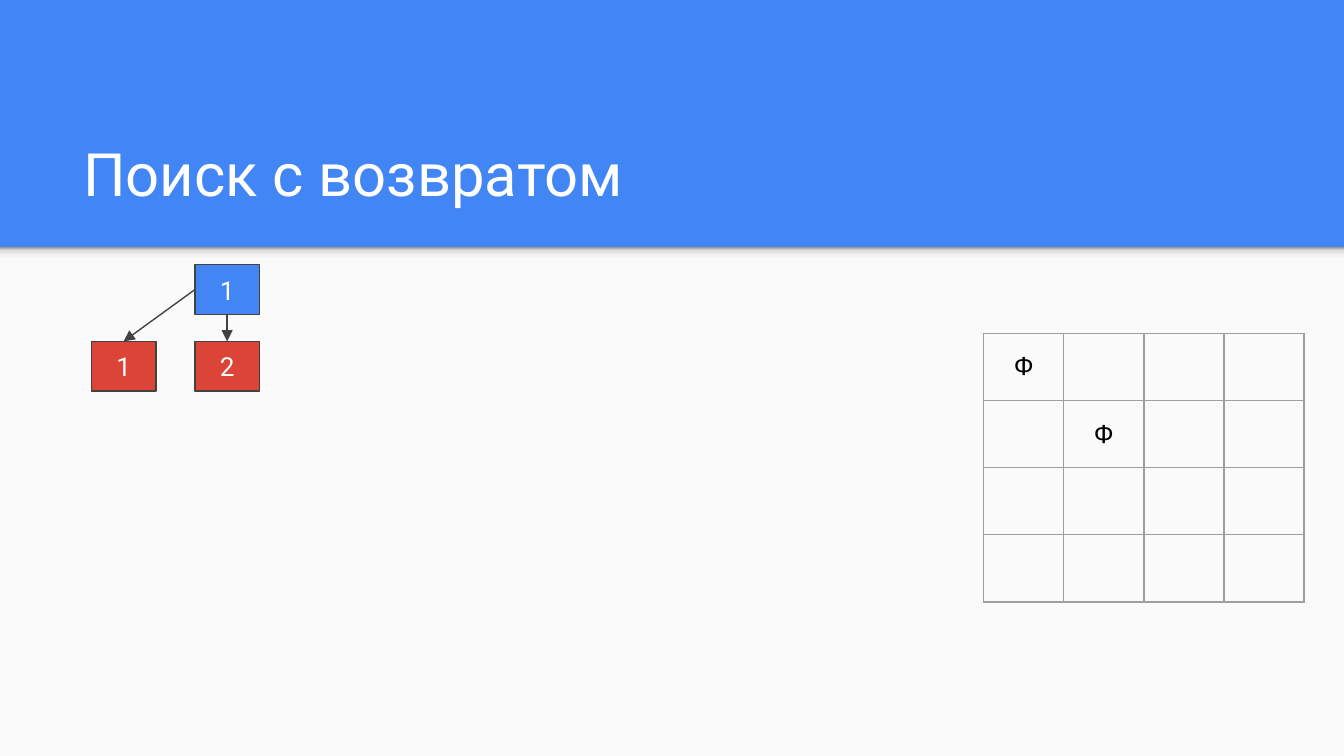
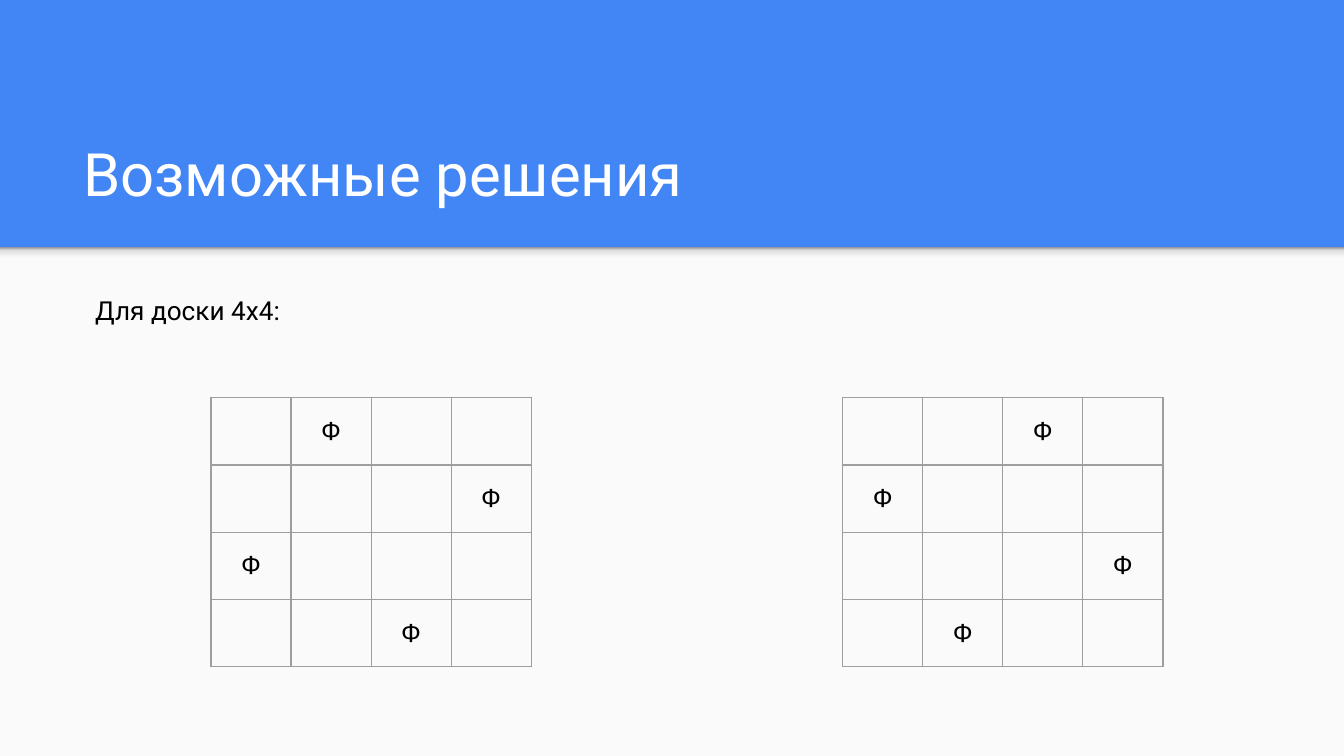
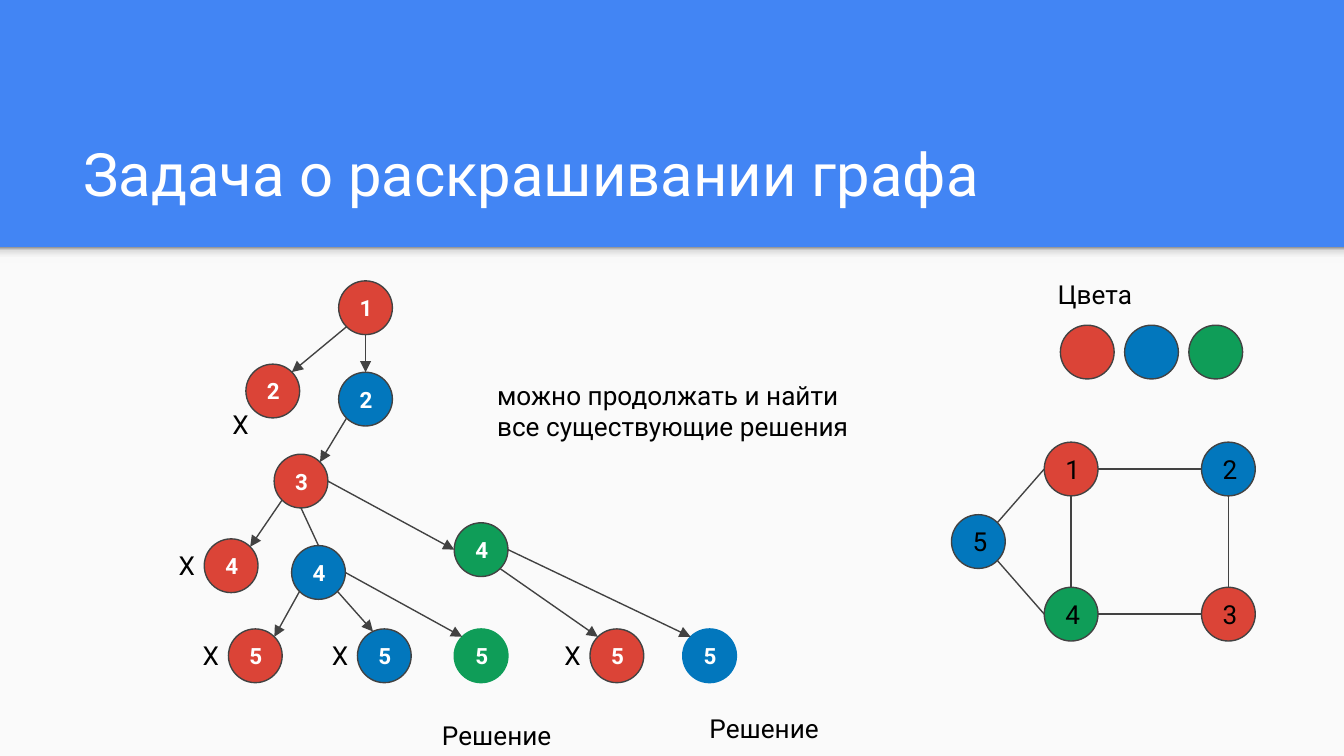
from math import cos, radians, sin

from lxml import etree
from pptx import Presentation
from pptx.dml.color import RGBColor
from pptx.enum.shapes import MSO_CONNECTOR, MSO_SHAPE
from pptx.enum.text import MSO_ANCHOR, MSO_AUTO_SIZE, PP_ALIGN
from pptx.oxml.ns import qn
from pptx.util import Emu, Inches, Pt

RECTANGLE, ELLIPSE = MSO_SHAPE.RECTANGLE, MSO_SHAPE.OVAL
STRAIGHT = MSO_CONNECTOR.STRAIGHT
TOP, MIDDLE, BOTTOM = MSO_ANCHOR.TOP, MSO_ANCHOR.MIDDLE, MSO_ANCHOR.BOTTOM
LEFT, CENTER = PP_ALIGN.LEFT, PP_ALIGN.CENTER
GROW, FIXED = MSO_AUTO_SIZE.SHAPE_TO_FIT_TEXT, MSO_AUTO_SIZE.NONE
SIDE_TOP, SIDE_LEFT, SIDE_BOTTOM = 0, 1, 2
EAST, NORTHEAST, NORTH, NORTHWEST = 0, 45, 90, 135
WEST, SOUTHWEST, SOUTH, SOUTHEAST = 180, 225, 270, 315

SLIDE_WIDTH, SLIDE_HEIGHT = Inches(10), Inches(5.625)
COLUMNS, ROWS = 100, 56.25
UNIT = SLIDE_WIDTH / COLUMNS
BAND_BOTTOM = 18.4
NODE = 4
LINE_WIDTH = Pt(0.75)
COLORS = {
    "band": "4285F4", "page": "FAFAFA", "line": "424242", "border": "9E9E9E",
    "red": "DB4437", "blue": "0277BD", "green": "0F9D58",
    "white": "FFFFFF", "black": "000000",
}
SHADOW_STOPS = [(0, "F9F9F9"), (36, "F9F9F9"), (80, "DEDEDE"), (100, "999999")]


def rgb(name):
    """Return the named colour."""
    return RGBColor.from_string(COLORS[name])


def units(*values):
    """Turn grid units into lengths."""
    return [Emu(round(value * UNIT)) for value in values]


def write(holder, text, size=14, color="black", font="Roboto", bold=False,
          align=LEFT, anchor=TOP, frame=None):
    """Put formatted text into a shape, placeholder or table cell."""
    frame = frame or holder.text_frame
    frame.margin_left = frame.margin_right = Inches(0.1)
    frame.margin_top = frame.margin_bottom = Inches(0.1)
    frame.vertical_anchor = anchor
    paragraph = holder.text_frame.paragraphs[0]
    paragraph.alignment = align
    run = paragraph.add_run()
    run.text = text
    run.font.name, run.font.size, run.font.bold = font, Pt(size), bold
    run.font.color.rgb = rgb(color)


def add_label(slide, text, left, top, width, height=4.4, auto_size=FIXED):
    """Add a wrapped line of plain text."""
    label = slide.shapes.add_textbox(*units(left, top, width, height))
    label.text_frame.word_wrap = True
    label.text_frame.auto_size = auto_size
    write(label, text)


def add_block(slide, kind, box, fill, line=None):
    """Add a filled shape, outlined if a line colour is given."""
    shape = slide.shapes.add_shape(kind, *units(*box))
    shape.shadow.inherit = False
    shape.fill.solid()
    shape.fill.fore_color.rgb = rgb(fill)
    if line:
        shape.line.color.rgb = rgb(line)
        shape.line.width = LINE_WIDTH
    else:
        shape.line.fill.background()
    return shape


def add_line(slide, start=(0, 0), end=(0, 0), arrow=False):
    """Add a thin straight connector between two grid points."""
    connector = slide.shapes.add_connector(STRAIGHT, *units(*start, *end))
    connector.line.color.rgb = rgb("line")
    connector.line.width = LINE_WIDTH
    if arrow:
        etree.SubElement(connector.line._get_or_add_ln(), qn("a:tailEnd"), type="triangle")
    etree.SubElement(connector.element.spPr, qn("a:effectLst"))
    return connector


def add_node(slide, center, fill, text="", line="line", **text_format):
    """Add a round node around its centre."""
    x, y = center
    box = (x - NODE / 2, y - NODE / 2, NODE, NODE)
    node = add_block(slide, ELLIPSE, box, fill, line)
    if text:
        write(node, text, align=CENTER, anchor=MIDDLE, **text_format)


def rim(center, angle):
    """Find the point on a node's rim at an angle in degrees."""
    x, y = center
    return (x + NODE / 2 * cos(radians(angle)), y - NODE / 2 * sin(radians(angle)))


def shift(origin, point):
    """Move a point by the origin of its region."""
    return origin[0] + point[0], origin[1] + point[1]


def build_layout(layout, slide):
    """Give the layout its background, page area and band shadow."""
    layout.background.fill.solid()
    layout.background.fill.fore_color.rgb = rgb("band")
    page = add_block(slide, RECTANGLE, (0, BAND_BOTTOM, COLUMNS, ROWS - BAND_BOTTOM), "page")
    shadow = add_block(slide, RECTANGLE, (0, BAND_BOTTOM, COLUMNS, 1.2), "page")
    shadow.fill.gradient()
    shadow.fill.gradient_angle = 90
    stops = shadow.element.spPr.find(".//" + qn("a:gsLst"))
    for stop in list(stops):
        stops.remove(stop)
    for position, color in SHADOW_STOPS:
        stop = etree.SubElement(stops, qn("a:gs"), pos=str(position * 1000))
        etree.SubElement(stop, qn("a:srgbClr"), val=color)
    for index, shape in enumerate((page, shadow), start=2):
        layout.shapes.element.insert(index, shape.element)


def add_titled_slide(presentation, title):
    """Add a slide with its title in the band."""
    slide = presentation.slides.add_slide(presentation.slide_layouts[5])
    shape = slide.shapes.title
    shape.left, shape.top, shape.width, shape.height = units(5.2, 8.1, 89.9, 8.4)
    shape.text_frame.word_wrap = True
    shape.text_frame.auto_size = FIXED
    write(shape, title, size=32, color="white", anchor=BOTTOM)
    return slide


def style_cell(cell):
    """Clear the cell's fill and draw its four borders."""
    properties = cell._tc.get_or_add_tcPr()
    for side in ("a:lnL", "a:lnR", "a:lnT", "a:lnB"):
        border = etree.SubElement(properties, qn(side), w=str(LINE_WIDTH))
        fill = etree.SubElement(border, qn("a:solidFill"))
        etree.SubElement(fill, qn("a:srgbClr"), val=COLORS["border"])
    cell.fill.background()


def add_board(slide, left, top, queens, size=4):
    """Add a chess board with queens at the given (row, column) cells."""
    box = units(left, top, 5.96 * size, 5 * size)
    table = slide.shapes.add_table(size, size, *box).table
    table.first_row = table.horz_banding = False
    for row in range(size):
        for column in range(size):
            cell = table.cell(row, column)
            style_cell(cell)
            if (row, column) in queens:
                write(cell, "Ф", font="Arial", align=CENTER, anchor=MIDDLE, frame=cell)


def add_search_tree(slide, left, top):
    """Add the queen placement tree on a two by two grid."""
    def add_choice(column, row, text, fill):
        box = (left + 7.7 * column, top + 5.7 * row, 4.8, 3.7)
        choice = add_block(slide, RECTANGLE, box, fill, "line")
        write(choice, text, color="white", align=CENTER, anchor=MIDDLE)
        return choice

    root = add_choice(1, 0, "1", "band")
    for column, text, side in ((0, "1", SIDE_LEFT), (1, "2", SIDE_BOTTOM)):
        choice = add_choice(column, 1, text, "red")
        connector = add_line(slide, arrow=True)
        connector.begin_connect(root, side)
        connector.end_connect(choice, SIDE_TOP)


def add_coloring_tree(slide, origin):
    """Add the tree of colour choices with its verdicts."""
    nodes = {
        "1": (15.2, 2.9, "red"), "2 red": (8.3, 9.1, "red"), "2 blue": (15.2, 9.7, "blue"),
        "3": (10.4, 15.8, "red"), "4 red": (5.2, 22.1, "red"),
        "4 blue": (11.7, 22.6, "blue"), "4 green": (23.8, 20.9, "green"),
        "5 red": (7, 28.8, "red"), "5 blue": (16.6, 28.8, "blue"),
        "5 green": (23.8, 28.8, "green"), "5 red last": (33.9, 28.8, "red"),
        "5 blue last": (40.8, 28.8, "blue"),
    }
    edges = [
        ("1", SOUTHWEST, "2 red", NORTHEAST), ("1", SOUTH, "2 blue", NORTH),
        ("2 blue", SOUTHWEST, "3", NORTHEAST), ("3", SOUTHWEST, "4 red", NORTHEAST),
        ("3", SOUTH, "4 blue", NORTH), ("3", EAST, "4 green", WEST),
        ("4 blue", SOUTHWEST, "5 red", NORTHEAST), ("4 blue", SOUTHEAST, "5 blue", 115),
        ("4 blue", EAST, "5 green", NORTHWEST),
        ("4 green", SOUTHEAST, "5 red last", NORTHWEST),
        ("4 green", EAST, "5 blue last", NORTHWEST),
    ]
    solutions = {"5 green": (-3.9, 3.7), "5 blue last": (-1, 3.2)}
    dead_ends = {name: (-4.9, -2.2) for name in ("4 red", "5 red", "5 blue", "5 red last")}
    dead_ends["2 red"] = (-4, 0.3)

    centers = {name: shift(origin, node[:2]) for name, node in nodes.items()}
    for name, (_, _, fill) in nodes.items():
        line = fill if name in solutions else "line"
        add_node(slide, centers[name], fill, name[0], line, size=12, color="white", bold=True)
    for start, start_angle, end, end_angle in edges:
        add_line(slide, rim(centers[start], start_angle), rim(centers[end], end_angle),
                 arrow=end != "4 blue")
    for text, width, places in (("X", 2.9, dead_ends), ("Решение", 17.5, solutions)):
        for name, offset in places.items():
            add_label(slide, text, *shift(centers[name], offset), width, auto_size=GROW)


def add_colored_graph(slide, origin):
    """Add the five-vertex graph in its found colouring."""
    vertices = {
        "1": (9.7, 2.9, "red"), "2": (21.4, 2.9, "blue"), "3": (21.4, 13.7, "red"),
        "4": (9.7, 13.7, "green"), "5": (2.8, 8.3, "blue"),
    }
    edges = [
        ("1", EAST, "2", WEST), ("1", SOUTH, "4", NORTH), ("4", EAST, "3", WEST),
        ("2", SOUTH, "3", NORTH), ("4", WEST, "5", SOUTHEAST), ("1", WEST, "5", NORTHEAST),
    ]
    centers = {name: shift(origin, vertex[:2]) for name, vertex in vertices.items()}
    for name, (_, _, fill) in vertices.items():
        add_node(slide, centers[name], fill, name)
    for start, start_angle, end, end_angle in edges:
        add_line(slide, rim(centers[start], start_angle), rim(centers[end], end_angle))


def add_palette(slide, left, top):
    """Add the heading and the row of available colours."""
    add_label(slide, "Цвета", left, top, 17.9, 3.7)
    for index, fill in enumerate(("red", "blue", "green")):
        add_node(slide, (left + 3.2 + 4.78 * index, top + 6.5), fill)


def build_backtracking(presentation):
    """Build the slide on backtracking search."""
    slide = add_titled_slide(presentation, "Поиск с возвратом")
    build_layout(slide.slide_layout, slide)
    add_board(slide, 73.2, 24.8, {(0, 0), (1, 1)})
    add_search_tree(slide, 6.8, 19.7)


def build_solutions(presentation):
    """Build the slide with both boards solved."""
    slide = add_titled_slide(presentation, "Возможные решения")
    add_board(slide, 15.7, 29.6, {(0, 1), (1, 3), (2, 0), (3, 2)})
    add_board(slide, 62.7, 29.6, {(0, 2), (1, 0), (2, 3), (3, 1)})
    add_label(slide, "Для доски 4x4:", 6.1, 20.9, 89.9, 5.4)


def build_coloring(presentation):
    """Build the slide on graph colouring."""
    slide = add_titled_slide(presentation, "Задача о раскрашивании графа")
    add_colored_graph(slide, (70, 32))
    add_palette(slide, 77.7, 19.7)
    add_coloring_tree(slide, (12, 20))
    add_label(slide, "можно продолжать и найти все существующие решения", 36, 27.2, 30.8)


def main():
    """Build and save the presentation."""
    presentation = Presentation()
    presentation.slide_width, presentation.slide_height = SLIDE_WIDTH, SLIDE_HEIGHT
    build_backtracking(presentation)
    build_solutions(presentation)
    build_coloring(presentation)
    presentation.save("out.pptx")


if __name__ == "__main__":
    main()
